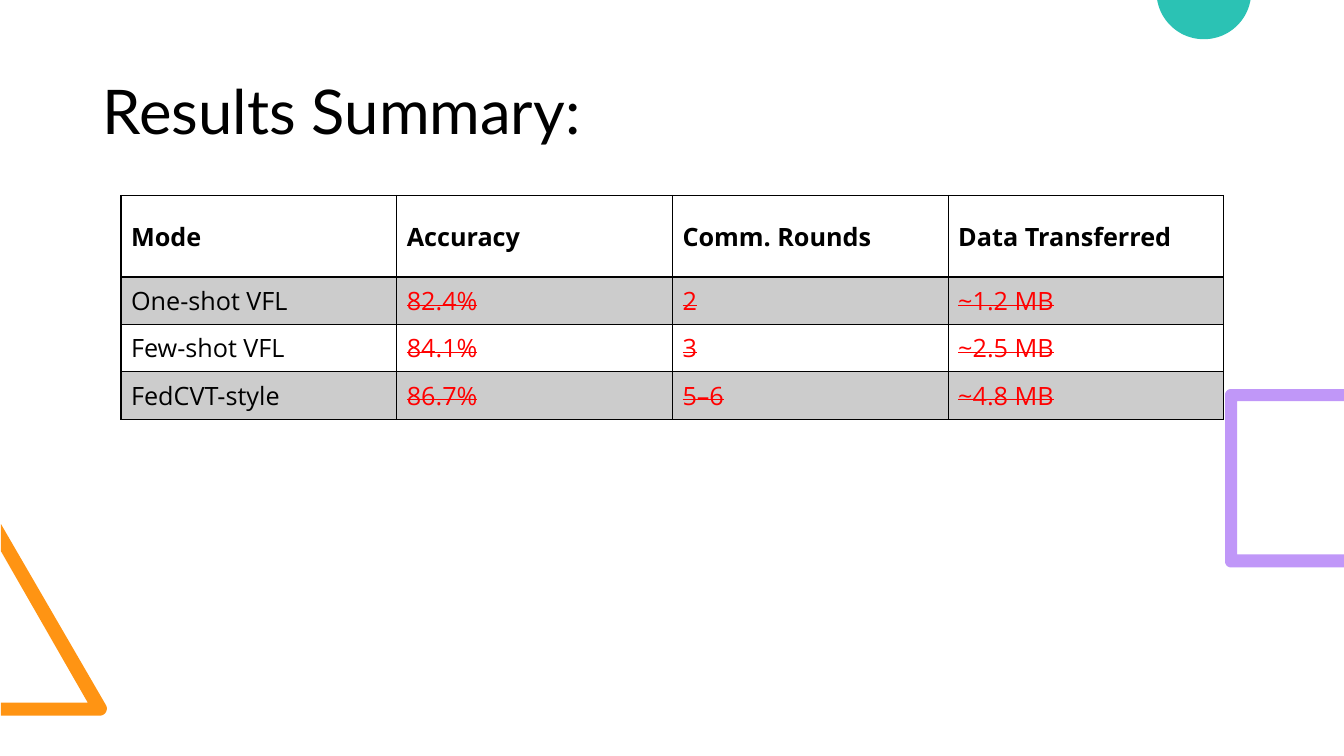
from math import cos, radians, sin

from lxml import etree
from pptx import Presentation
from pptx.dml.color import RGBColor
from pptx.enum.text import MSO_ANCHOR
from pptx.oxml.ns import qn
from pptx.util import Inches, Pt

MIDDLE = MSO_ANCHOR.MIDDLE
BLACK = RGBColor(0, 0, 0)
RED = RGBColor(0xFF, 0, 0)
ORANGE = RGBColor(0xFF, 0x94, 0x13)
TEAL = RGBColor(0x2B, 0xC2, 0xB4)
PURPLE = RGBColor(0xC0, 0x97, 0xF8)

RESULTS = [
    ["Mode", "Accuracy", "Comm. Rounds", "Data Transferred"],
    ["One-shot VFL", "82.4%", "2", "~1.2 MB"],
    ["Few-shot VFL", "84.1%", "3", "~2.5 MB"],
    ["FedCVT-style", "86.7%", "5–6", "~4.8 MB"],
]


def arc(x, y, radius, start, end, steps=12):
    angles = [radians(start + (end - start) * i / steps) for i in range(steps + 1)]
    return [(x + radius * cos(a), y + radius * sin(a)) for a in angles]


def add_outline(slide, points, color):
    points = [(Inches(x), Inches(y)) for x, y in points]
    builder = slide.shapes.build_freeform(*points[0])
    builder.add_line_segments(points[1:], close=True)
    shape = builder.convert_to_shape()
    shape.shadow.inherit = False
    shape.fill.solid()
    shape.fill.fore_color.rgb = color
    shape.line.fill.background()


def style_font(para, name, size, color, bold=False):
    font = para.font
    font.name = name
    font.size = Pt(size)
    font.bold = bold
    font.color.rgb = color


def add_title(slide, text):
    box = slide.shapes.add_textbox(Inches(0.92), Inches(0.33), Inches(11.5), Inches(1.61))
    frame = box.text_frame
    frame.word_wrap = True
    frame.vertical_anchor = MIDDLE
    para = frame.paragraphs[0]
    para.text = text
    para.line_spacing = 0.9
    style_font(para, "Lato", 44, BLACK)


def set_border(cell, side, width):
    props = cell._tc.get_or_add_tcPr()
    line = etree.SubElement(props, qn(f"a:ln{side}"), w=str(Pt(width)))
    fill = etree.SubElement(line, qn("a:solidFill"))
    etree.SubElement(fill, qn("a:srgbClr"), val=str(BLACK))


def shade_cell(cell, alpha):
    cell.fill.solid()
    cell.fill.fore_color.rgb = BLACK
    color = cell._tc.tcPr.find(f"{qn('a:solidFill')}/{qn('a:srgbClr')}")
    etree.SubElement(color, qn("a:alpha"), val=str(alpha * 1000))


def fill_cell(cell, text, row, col):
    header = row == 0
    struck = not header and col > 0
    cell.vertical_anchor = MIDDLE
    for side in "LRTB":
        thick = (header and side == "B") or (row == 1 and side == "T")
        set_border(cell, side, 2 if thick else 1)
    if row % 2:
        shade_cell(cell, 20)
    else:
        cell.fill.background()
    para = cell.text_frame.paragraphs[0]
    para.text = text
    style_font(para, "Open Sans", 18, RED if struck else BLACK, header)
    if struck:
        para.runs[0]._r.get_or_add_rPr().set("strike", "sngStrike")


def add_results(slide, rows):
    frame = slide.shapes.add_table(
        len(rows), len(rows[0]), Inches(1.2), Inches(1.94), Inches(10.94), Inches(2.22)
    )
    table = frame.table
    table.first_row = False
    table.horz_banding = False
    for r, texts in enumerate(rows):
        table.rows[r].height = Inches(0.47 if r else 0.81)
        for c, text in enumerate(texts):
            fill_cell(table.cell(r, c), text, r, c)


def main():
    deck = Presentation()
    deck.slide_width = Inches(13.33)
    deck.slide_height = Inches(7.5)
    slide = deck.slides.add_slide(deck.slide_layouts[6])

    triangle = [(0.01, 7.1), (0.01, 6.97), (0.87, 6.97), (0.01, 5.47), (0.01, 5.2)]
    add_outline(slide, triangle + arc(0.99, 7.03, 0.07, -30, 90), ORANGE)
    add_outline(slide, arc(11.94, -0.08, 0.47, 10, 170, 48), TEAL)
    square = [(13.33, 5.63), (13.33, 5.5), (12.27, 5.5)]
    square += [(12.27, 3.98), (13.33, 3.98), (13.33, 3.86)]
    corners = arc(12.21, 3.92, 0.06, 270, 180) + arc(12.21, 5.57, 0.06, 180, 90)
    add_outline(slide, square + corners, PURPLE)

    add_title(slide, "Results Summary:")
    add_results(slide, RESULTS)
    deck.save("out.pptx")


if __name__ == "__main__":
    main()
